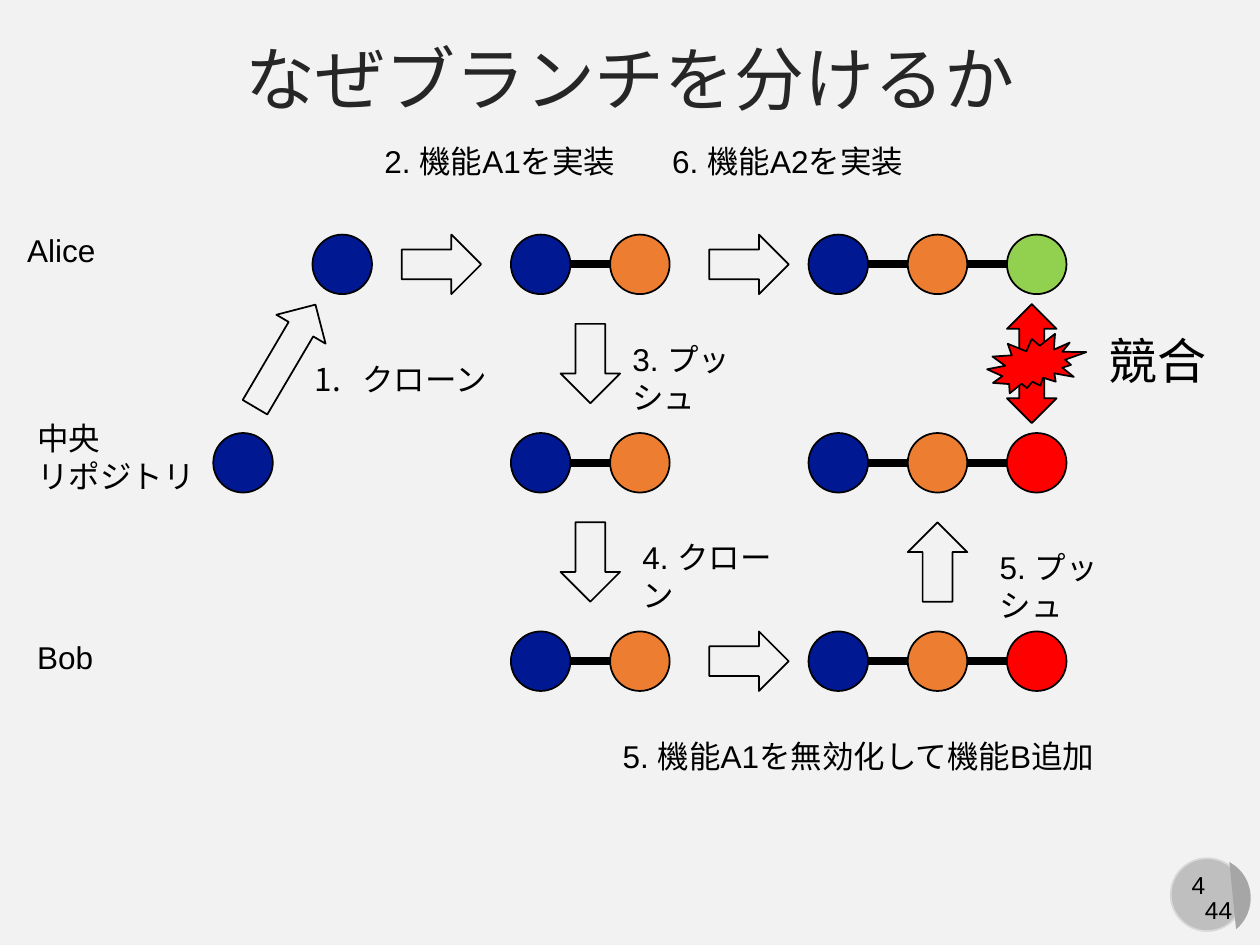
from lxml import etree
from pptx import Presentation
from pptx import util as u
from pptx.dml import color as dml
from pptx.enum import shapes, text
from pptx.oxml import ns

COLORS = {
    "background": "F2F2F2", "black": "000000", "title": "262626",
    "base": "011893", "A1": "ED7D31", "A2": "92D050", "B": "FF0000",
    "conflict": "FF0000", "badge": "BFBFBF", "badge_rim": "D9D9D9",
    "badge_shade": "A6A6A6",
}
KIND = shapes.MSO_SHAPE
COMMIT = 1.2      # diameter of a commit, cm
STEP = 2          # distance between neighbouring commits, cm
ROW = {"Alice": 4.73, "central": 8.73, "Bob": 12.73}

prs = Presentation()
prs.slide_width, prs.slide_height = u.Cm(25.4), u.Cm(19.05)
slide = prs.slides.add_slide(prs.slide_layouts[6])
slide.background.fill.solid()
slide.background.fill.fore_color.rgb = dml.RGBColor.from_string(COLORS["background"])


def add_figure(kind, left, top, width, height, fill=None, line="black", rotation=0):
    figure = slide.shapes.add_shape(
        kind, u.Cm(left), u.Cm(top), u.Cm(width), u.Cm(height))
    figure.shadow.inherit = False
    figure.rotation = rotation
    if fill:
        figure.fill.solid()
        figure.fill.fore_color.rgb = dml.RGBColor.from_string(COLORS[fill])
    else:
        figure.fill.background()
    if line:
        figure.line.color.rgb = dml.RGBColor.from_string(COLORS[line])
        figure.line.width = u.Pt(1)
    else:
        figure.line.fill.background()
    return figure


def add_label(words, left, top, width, height=1.02, size=18, color="black",
              align=text.PP_ALIGN.LEFT, numbered=False):
    """Write one paragraph per line of words; numbered starts a list at 1."""
    frame = slide.shapes.add_textbox(
        u.Cm(left), u.Cm(top), u.Cm(width), u.Cm(height)).text_frame
    frame.word_wrap = True
    frame.text = words
    for paragraph in frame.paragraphs:
        if numbered:
            properties = paragraph._p.get_or_add_pPr()
            properties.set("marL", str(u.Cm(0.95)))
            properties.set("indent", str(-u.Cm(0.95)))
            etree.SubElement(properties, ns.qn("a:buFont"), typeface="+mj-lt")
            etree.SubElement(properties, ns.qn("a:buAutoNum"), type="arabicPeriod")
        paragraph.alignment = align
        paragraph.font.name = "Arial"
        paragraph.font.size = u.Pt(size)
        paragraph.font.color.rgb = dml.RGBColor.from_string(COLORS[color])
    return frame


# Page badge
add_figure(KIND.OVAL, 23.6, 17.3, 1.47, 1.47, "badge", "badge_rim")
add_label("4", 23.6, 17.42, 1.12, 0.86, 14, align=text.PP_ALIGN.CENTER)
shade = add_figure(KIND.CHORD, 23.6, 17.3, 1.63, 1.6, "badge_shade", None, 270)
for index, degrees in enumerate((27, 141.42)):
    shade.adjustments[index] = degrees * 0.6   # 60000ths of a degree / 100000
add_label("44", 23.88, 17.91, 1.37, 0.86, 14, align=text.PP_ALIGN.CENTER)

title = add_label("なぜブランチを分けるか", 0, 0.53, 25.4, 2.08, 40, "title",
                  text.PP_ALIGN.CENTER)
title.vertical_anchor = text.MSO_ANCHOR.MIDDLE

# Commit histories: owner, left edge, commits
histories = [
    ("central", 4.3, ["base"]),
    ("Alice", 6.3, ["base"]),
    ("Alice", 10.3, ["base", "A1"]),
    ("central", 10.3, ["base", "A1"]),
    ("Bob", 10.3, ["base", "A1"]),
    ("Bob", 16.3, ["base", "A1", "B"]),
    ("central", 16.3, ["base", "A1", "B"]),
    ("Alice", 16.3, ["base", "A1", "A2"]),
]
for owner, start, commits in histories:
    middle = u.Cm(ROW[owner] + COMMIT / 2)
    for position, commit in enumerate(commits):
        left = start + position * STEP
        add_figure(KIND.OVAL, left, ROW[owner], COMMIT, COMMIT, commit)
        if position:
            link = slide.shapes.add_connector(
                shapes.MSO_CONNECTOR.STRAIGHT,
                u.Cm(left - STEP + COMMIT), middle, u.Cm(left), middle)
            link.line.color.rgb = dml.RGBColor.from_string(COLORS["black"])
            link.line.width = u.Pt(4.5)
            etree.SubElement(link._element.spPr, ns.qn("a:effectLst"))

# Steps between histories: left, top, rotation
add_figure(KIND.RIGHT_ARROW, 4.55, 6.6, 2.4, 1.15, rotation=300.5)
for left, top, rotation in [
    (8.1, ROW["Alice"], 0), (14.3, ROW["Alice"], 0), (14.3, ROW["Bob"], 0),
    (11.1, 6.73, 90), (11.1, 10.73, 90), (18.1, 10.73, 270),
]:
    add_figure(KIND.RIGHT_ARROW, left, top, 1.6, COMMIT, rotation=rotation)

# Owners and step captions
add_label("クローン", 6.1, 7.13, 4.04, numbered=True)
for words, left, top, width in [
    ("Alice", 0.3, 4.53, 2.2),
    ("中央\nリポジトリ", 0.5, 8.33, 4),
    ("Bob", 0.5, 12.73, 2.2),
    ("2. 機能A1を実装", 7.5, 2.73, 5.2),
    ("3. プッシュ", 12.5, 6.73, 2.9),
    ("4. クローン", 12.7, 10.73, 3.5),
    ("5. 機能A1を無効化して機能B追加", 12.3, 14.73, 10.13),
    ("5. プッシュ", 19.9, 10.93, 2.9),
    ("6. 機能A2を実装", 13.3, 2.73, 5.2),
]:
    add_label(words, left, top, width)

# Conflict between Alice and the central repository
add_figure(KIND.UP_DOWN_ARROW, 20.3, 6.13, 1, 2.4, "conflict")
add_figure(KIND.EXPLOSION2, 19.9, 6.73, 2, 1.2, "conflict")
add_label("競合", 22.1, 6.53, 2.8, 1.45, 28)

prs.save("out.pptx")
